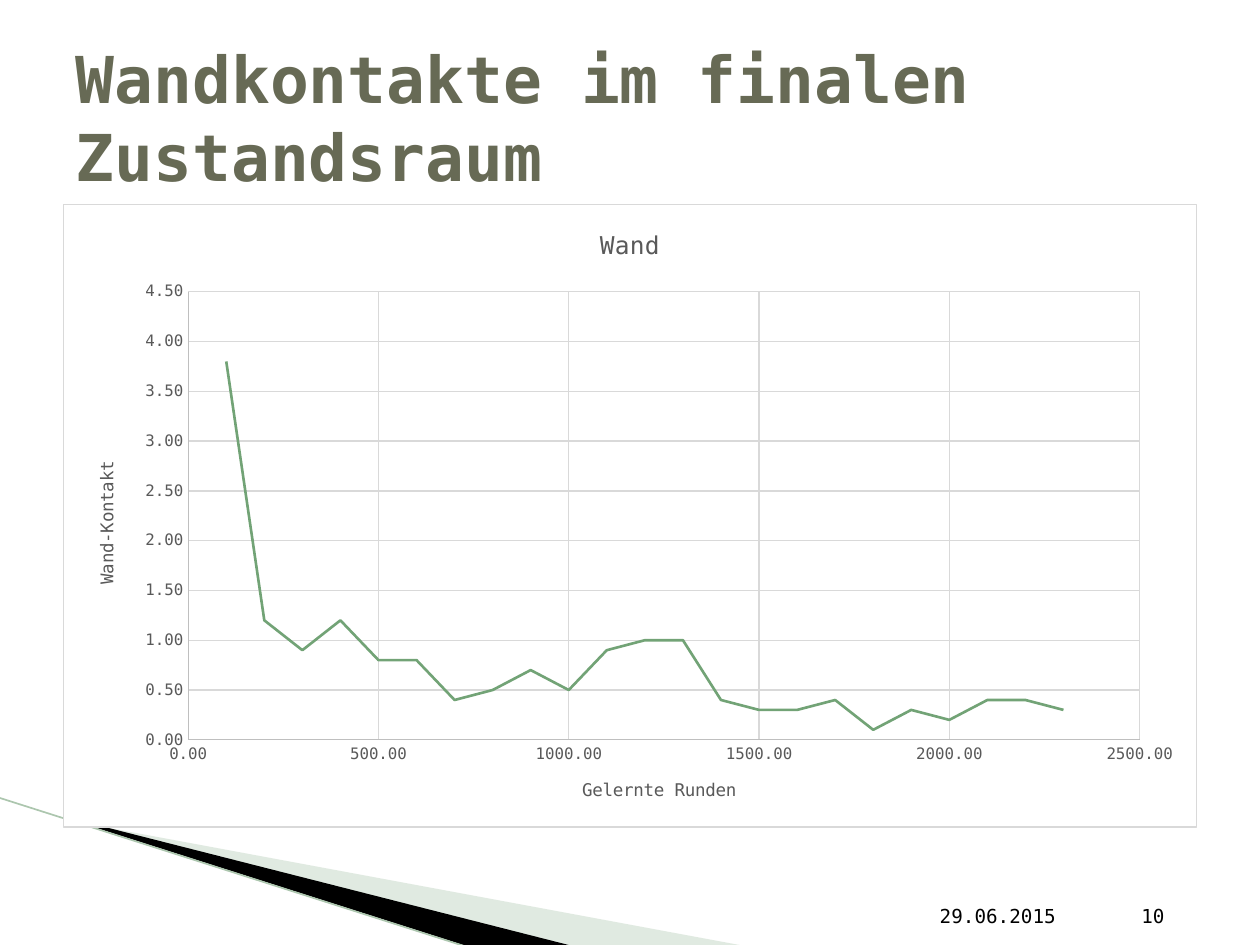
from lxml import etree
from pptx import Presentation, util as u
from pptx.chart import data as chart_data
from pptx.dml.color import RGBColor
from pptx.enum import chart as charts, shapes, text
from pptx.oxml import parse_xml
from pptx.oxml.ns import nsdecls, qn

FONT = "DejaVu Sans Mono"
COLORS = {"title": "676A55", "black": "000000", "white": "FFFFFF",
          "label": "595959", "axis": "BFBFBF", "grid": "D9D9D9",
          "curve": "72A376", "pale": "B3CBB5", "edge": "ACC6AE"}

TITLE = "Wandkontakte im finalen Zustandsraum"
TITLE_BOX = (36, 21.6, 648, 90)
FOOTERS = [("29.06.2015", (529.9, 504.7, 108, 28.8), text.PP_ALIGN.LEFT),
           ("10", (637.9, 504.7, 34.6, 28.8), text.PP_ALIGN.RIGHT)]
# Corner points, fill colour and opacity in percent
WEDGES = [([(39.6, 468.7), (428.4, 540.7), (328.3, 540.7), (39.6, 468)], "pale", 40),
          ([(38.2, 467.3), (329, 540.7), (267.8, 541.4), (38.9, 468)], "black", 100)]
EDGE = (-0.7, 455.8, 267.8, 541.4)

CHART_BOX = (36, 116.6, 648, 356.4)
PLOT_LAYOUT = {"x": 0.11, "y": 0.14, "w": 0.84, "h": 0.72}
SERIES_NAME = "Wand"
CONTACTS = [3.8, 1.2, 0.9, 1.2, 0.8, 0.8, 0.4, 0.5, 0.7, 0.5, 0.9, 1,
            1, 0.4, 0.3, 0.3, 0.4, 0.1, 0.3, 0.2, 0.4, 0.4, 0.3]
ROUNDS_STEP = 100
AXES = {"category_axis": ("Gelernte Runden", 2500, 500, 0),
        "value_axis": ("Wand-Kontakt", 4.5, 0.5, -90)}


def rgb(name):
    return RGBColor.from_string(COLORS[name])


def points(values):
    return [u.Pt(value) for value in values]


def style_font(font, size, color, bold=False):
    font.name, font.size, font.bold = FONT, u.Pt(size), bold
    font.color.rgb = rgb(color)


def style_line(line, color, width=0.75):
    line.color.rgb = rgb(color)
    line.width = u.Pt(width)


def write(frame, words, size, color, bold=False, align=None):
    para = frame.paragraphs[0]
    para.alignment = align
    span = para.add_run()
    span.text = words
    style_font(span.font, size, color, bold)


def add_wedge(page, corners, color, opacity):
    builder = page.shapes.build_freeform(*corners[0], scale=float(u.Pt(1)))
    builder.add_line_segments(corners[1:], close=True)
    wedge = builder.convert_to_shape()
    wedge.shadow.inherit = False
    wedge.fill.solid()
    wedge.fill.fore_color.rgb = rgb(color)
    wedge.line.fill.background()
    if opacity < 100:
        fill = wedge.element.spPr.find(".//" + qn("a:srgbClr"))
        etree.SubElement(fill, qn("a:alpha"), val=str(opacity * 1000))


def add_edge(page):
    edge = page.shapes.add_connector(shapes.MSO_CONNECTOR.STRAIGHT, *points(EDGE))
    style_line(edge.line, "edge", 0.95)
    etree.SubElement(edge.element.spPr, qn("a:effectLst"))


def style_axis(axis, title, maximum, step, rotation):
    axis.minimum_scale, axis.maximum_scale, axis.major_unit = 0, maximum, step
    axis.major_tick_mark = axis.minor_tick_mark = charts.XL_TICK_MARK.NONE
    axis.has_major_gridlines = True
    style_line(axis.major_gridlines.format.line, "grid")
    style_line(axis.format.line, "axis")
    style_font(axis.tick_labels.font, 9, "label")
    axis.tick_labels.number_format = "0.00"
    axis.tick_labels.number_format_is_linked = False
    frame = axis.axis_title.text_frame
    write(frame, title, 10, "label")
    frame._txBody.bodyPr.set("rot", str(rotation * 60000))


def frame_chart(chart):
    """Fill and outline the chart area and fix the inner plot area."""
    chart.element.find(qn("c:chart")).addnext(parse_xml(
        f'<c:spPr {nsdecls("c", "a")}>'
        f'<a:solidFill><a:srgbClr val="{COLORS["white"]}"/></a:solidFill>'
        f'<a:ln w="{u.Pt(0.75)}"><a:solidFill><a:srgbClr val="{COLORS["grid"]}"/>'
        '</a:solidFill></a:ln></c:spPr>'))
    area = chart.element.find(".//" + qn("c:plotArea"))
    for layout in area.findall(qn("c:layout")):
        area.remove(layout)
    modes = '<c:xMode val="edge"/><c:yMode val="edge"/>'
    sizes = "".join(f'<c:{key} val="{value}"/>' for key, value in PLOT_LAYOUT.items())
    area.insert(0, parse_xml(
        f'<c:layout {nsdecls("c")}><c:manualLayout><c:layoutTarget val="inner"/>'
        f'{modes}{sizes}</c:manualLayout></c:layout>'))


def add_contact_chart(page):
    data = chart_data.XyChartData()
    series = data.add_series(SERIES_NAME)
    for number, contacts in enumerate(CONTACTS, start=1):
        series.add_data_point(number * ROUNDS_STEP, contacts)
    kind = charts.XL_CHART_TYPE.XY_SCATTER_SMOOTH_NO_MARKERS
    chart = page.shapes.add_chart(kind, *points(CHART_BOX), data).chart
    frame_chart(chart)
    style_font(chart.font, 10, "black")
    chart.has_legend = False
    chart.has_title = True
    write(chart.chart_title.text_frame, SERIES_NAME, 14, "label")
    chart.plots[0].vary_by_categories = False
    curve = chart.plots[0].series[0]
    curve.smooth = True
    curve.marker.style = charts.XL_MARKER_STYLE.NONE
    style_line(curve.format.line, "curve", 1.5)
    for name, settings in AXES.items():
        style_axis(getattr(chart, name), *settings)


def main():
    deck = Presentation()
    deck.slide_width, deck.slide_height = u.Pt(720), u.Pt(540)
    page = deck.slides.add_slide(deck.slide_layouts[5])
    for wedge in WEDGES:
        add_wedge(page, *wedge)
    add_edge(page)
    add_contact_chart(page)
    for words, place, align in FOOTERS:
        frame = page.shapes.add_textbox(*points(place)).text_frame
        frame.word_wrap = True
        frame.vertical_anchor = text.MSO_ANCHOR.BOTTOM
        write(frame, words, 11, "black", align=align)
    title = page.shapes.title
    title.left, title.top, title.width, title.height = points(TITLE_BOX)
    title.text_frame.auto_size = text.MSO_AUTO_SIZE.NONE
    title.text_frame.vertical_anchor = text.MSO_ANCHOR.MIDDLE
    write(title.text_frame, TITLE, 36.9, "title", bold=True, align=text.PP_ALIGN.LEFT)
    deck.save("out.pptx")


if __name__ == "__main__":
    main()
